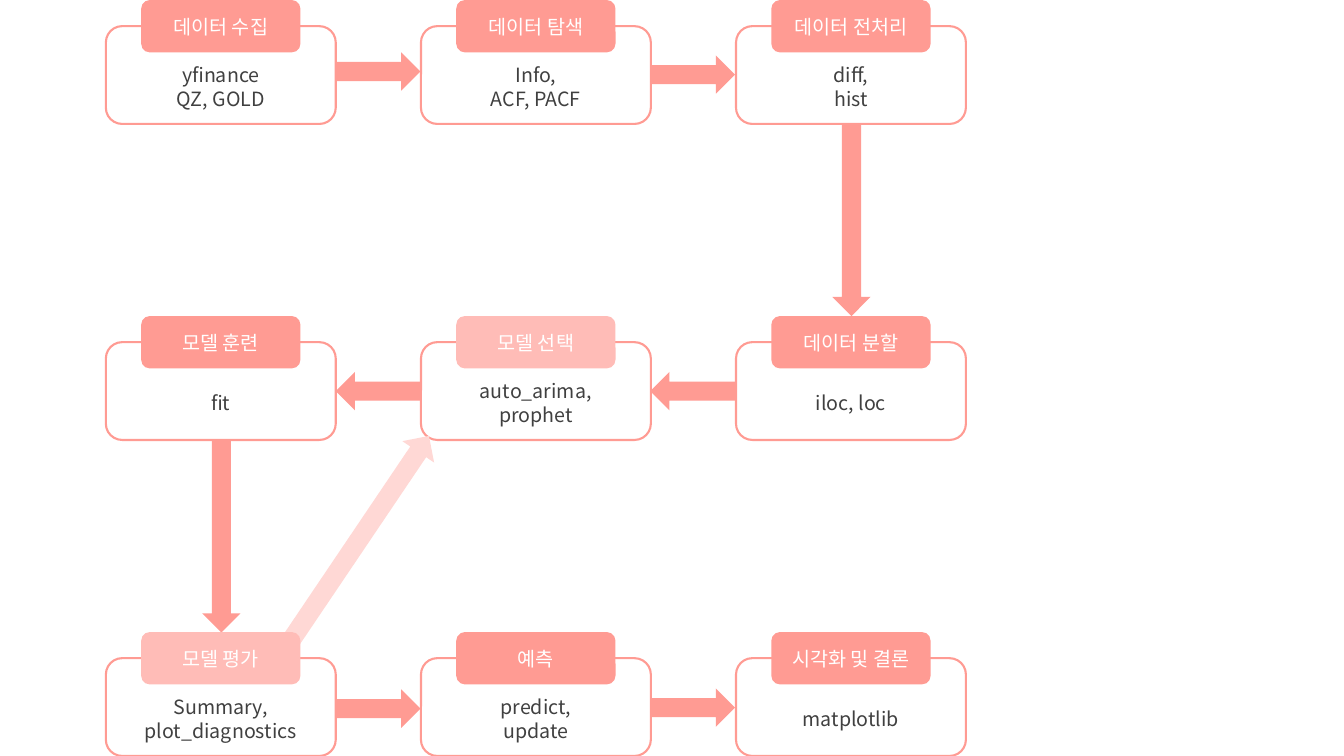
from pptx import Presentation
from pptx.dml.color import RGBColor
from pptx.enum.shapes import MSO_SHAPE
from pptx.enum.text import MSO_ANCHOR, PP_ALIGN
from pptx.util import Inches, Pt

ROUNDED = MSO_SHAPE.ROUNDED_RECTANGLE
ARROW = MSO_SHAPE.RIGHT_ARROW
MIDDLE = MSO_ANCHOR.MIDDLE
CENTER = PP_ALIGN.CENTER

CORAL = RGBColor(0xFF, 0x9B, 0x93)
LIGHT_CORAL = RGBColor(0xFF, 0xBC, 0xB7)
PALE_CORAL = RGBColor(0xFF, 0xD8, 0xD5)
DARK_GRAY = RGBColor(0x40, 0x40, 0x40)
WHITE = RGBColor(0xFF, 0xFF, 0xFF)

FONT = "Noto Sans CJK KR"
LEFT = 1.05
COLUMN_STEP = 6.25 / 2
ROW_STEP = 6.27 / 2
CARD_WIDTH, CARD_HEIGHT = 2.28, 0.97
TITLE_WIDTH, TITLE_HEIGHT = 1.58, 0.52
ARROW_HEIGHT = 0.38
SIDE_ARROW, DOWN_ARROW, LOOP_ARROW = 0.84, 1.91, 2.52

# Stages by row, from left to right: title, details, title colour
UPPER_ROWS = [
    [("데이터 수집", ["yfinance", "QZ, GOLD"], CORAL),
     ("데이터 탐색", ["Info,", "ACF, PACF"], CORAL),
     ("데이터 전처리", ["diff,", "hist"], CORAL)],
    [("모델 훈련", ["fit"], CORAL),
     ("모델 선택", ["auto_arima,", "prophet"], LIGHT_CORAL),
     ("데이터 분할", ["iloc, loc"], CORAL)],
]
LAST_ROW = [
    ("모델 평가", ["Summary,", "plot_diagnostics"], LIGHT_CORAL),
    ("예측", ["predict,", "update"], CORAL),
    ("시각화 및 결론", ["matplotlib"], CORAL),
]
# Left, top, length, rotation, colour
ARROWS = [
    (3.33, 0.52, SIDE_ARROW, 0, CORAL),
    (6.45, 0.55, SIDE_ARROW, 0, CORAL),
    (7.49, 1.99, DOWN_ARROW, 90, CORAL),
    (6.45, 3.69, SIDE_ARROW, 180, CORAL),
    (3.33, 3.69, SIDE_ARROW, 180, CORAL),
    (1.24, 5.13, DOWN_ARROW, 90, CORAL),
    (3.33, 6.84, SIDE_ARROW, 0, CORAL),
    (6.45, 6.83, SIDE_ARROW, 0, CORAL),
    (2.29, 5.18, LOOP_ARROW, 304, PALE_CORAL),
]


def add_block(slide, kind, left, top, width, height, fill=None):
    """Add a shape that is filled, or only outlined when fill is None."""
    block = slide.shapes.add_shape(
        kind, Inches(left), Inches(top), Inches(width), Inches(height))
    block.shadow.inherit = False
    if fill is None:
        block.fill.background()
        block.line.color.rgb = CORAL
        block.line.width = Pt(1.5)
    else:
        block.fill.solid()
        block.fill.fore_color.rgb = fill
        block.line.fill.background()
    return block


def write_lines(block, lines, color, top_margin=0.05):
    frame = block.text_frame
    frame_format = {"word_wrap": True, "vertical_anchor": MIDDLE,
                    "margin_top": Inches(top_margin)}
    for name, value in frame_format.items():
        setattr(frame, name, value)
    for index, line in enumerate(lines):
        paragraph = frame.add_paragraph() if index else frame.paragraphs[0]
        paragraph.alignment = CENTER
        paragraph.line_spacing = Pt(17)
        run = paragraph.add_run()
        run.text = line
        for name, value in {"name": FONT, "size": Pt(14)}.items():
            setattr(run.font, name, value)
        run.font.color.rgb = color


def add_stage(slide, row, column, title, details, title_color):
    left = LEFT + column * COLUMN_STEP
    top = row * ROW_STEP
    card = add_block(slide, ROUNDED, left, top + TITLE_HEIGHT / 2,
                     CARD_WIDTH, CARD_HEIGHT)
    write_lines(card, details, DARK_GRAY, top_margin=0.28)
    tab = add_block(slide, ROUNDED, left + (CARD_WIDTH - TITLE_WIDTH) / 2, top,
                    TITLE_WIDTH, TITLE_HEIGHT, title_color)
    write_lines(tab, [title], WHITE)


def add_row(slide, row, stages):
    for column, stage in enumerate(stages):
        add_stage(slide, row, column, *stage)


def add_arrow(slide, left, top, length, rotation, color):
    arrow = add_block(slide, ARROW, left, top, length, ARROW_HEIGHT, color)
    arrow.rotation = rotation


def main():
    presentation = Presentation()
    presentation.slide_width = Inches(13.33)
    presentation.slide_height = Inches(7.5)
    slide = presentation.slides.add_slide(presentation.slide_layouts[6])
    for row, stages in enumerate(UPPER_ROWS):
        add_row(slide, row, stages)
    for arrow in ARROWS:
        add_arrow(slide, *arrow)
    add_row(slide, len(UPPER_ROWS), LAST_ROW)
    presentation.save("out.pptx")


if __name__ == "__main__":
    main()
